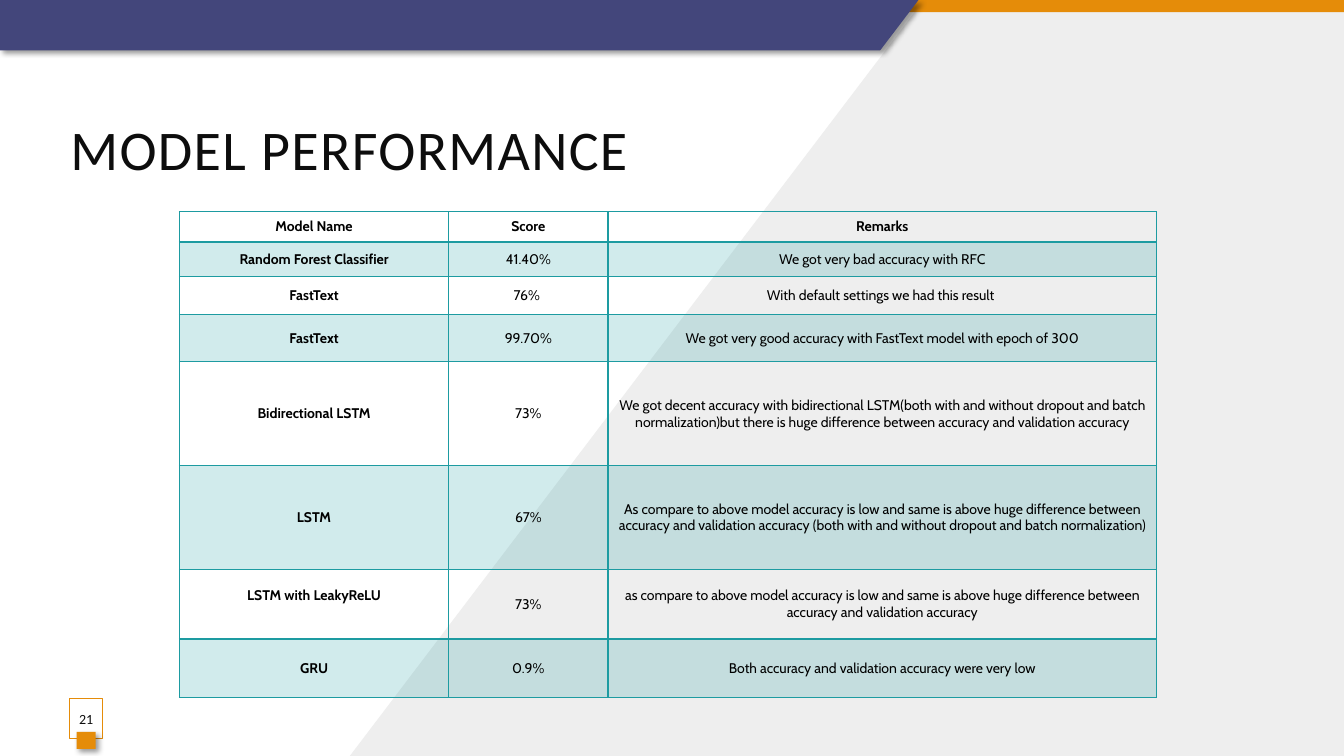
from lxml import etree
from pptx import Presentation
from pptx.dml.color import RGBColor
from pptx.enum import shapes, text
from pptx.oxml import ns
from pptx.util import Inches, Pt

WHITE = RGBColor(0xFF, 0xFF, 0xFF)
BLACK = RGBColor(0, 0, 0)
INK = RGBColor(0x0D, 0x0D, 0x0D)
GRAY = RGBColor(0xEE, 0xEE, 0xEE)
ORANGE = RGBColor(0xE5, 0x8C, 0x09)
INDIGO = RGBColor(0x43, 0x46, 0x7B)
TEAL = RGBColor(0x1D, 0x9B, 0xA1)

TITLE = "MODEL PERFORMANCE"
PAGE_NUMBER = "21"
GRAY_PANEL = [(9.11, 0), (13.33, 0), (13.33, 7.5), (3.47, 7.5), (9.11, 0.07)]
INDIGO_BANNER = [(0, 0), (9.11, 0), (8.73, 0.5), (0, 0.5)]
COLUMN_WIDTHS = [2.67, 1.58, 5.44]
ROWS = [
    (0.3, "Model Name", "Score", "Remarks"),
    (0.34, "Random Forest Classifier", "41.40%", "We got very bad accuracy with RFC"),
    (0.38, "FastText", "76% ", "With default settings we had this result "),
    (0.47, "FastText", "99.70%",
     "We got very good accuracy with FastText model with epoch of 300"),
    (1.03, "Bidirectional LSTM", "73%",
     "We got decent accuracy with bidirectional LSTM(both with and without dropout and batch "
     "normalization)but there is huge difference between accuracy and validation accuracy"),
    (1.03, "LSTM", "67%",
     "As compare to above model accuracy is low and same is above huge difference between "
     "accuracy and validation accuracy (both with and without dropout and batch normalization)"),
    (0.69, "LSTM with LeakyReLU", "73%",
     "as compare to above model accuracy is low and same is above huge difference between "
     "accuracy and validation accuracy"),
    (0.58, "GRU", "0.9%", "Both accuracy and validation accuracy were very low"),
]
RAISED_NAME = "LSTM with LeakyReLU"


def add_node(parent, tag, **attributes):
    return etree.SubElement(parent, ns.qn(tag), attributes)


def paint(shape, color):
    shape.shadow.inherit = False
    shape.fill.solid()
    shape.fill.fore_color.rgb = color
    shape.line.fill.background()
    return shape


def add_box(slide, left, top, width, height, color):
    shape = slide.shapes.add_shape(shapes.MSO_SHAPE.RECTANGLE, Inches(left), Inches(top),
                                   Inches(width), Inches(height))
    return paint(shape, color)


def add_outline(slide, points, color):
    corners = [(Inches(x), Inches(y)) for x, y in points]
    builder = slide.shapes.build_freeform(*corners[0], scale=1.0)
    builder.add_line_segments(corners[1:], close=True)
    return paint(builder.convert_to_shape(), color)


def cast_shadow(shape):
    effects = shape.element.spPr.find(ns.qn("a:effectLst"))
    shadow = add_node(effects, "a:outerShdw", blurRad=str(Pt(4)), dist=str(Pt(3)),
                      dir=str(45 * 60000), algn="tl", rotWithShape="0")
    color = add_node(shadow, "a:srgbClr", val=str(BLACK))
    add_node(color, "a:alpha", val="40000")


def set_opacity(properties, percent):
    color = properties.find(ns.qn("a:solidFill")).find(ns.qn("a:srgbClr"))
    add_node(color, "a:alpha", val=str(percent * 1000))


def write(frame, content, font_name, size, color, bold=False, align=text.PP_ALIGN.CENTER):
    frame.word_wrap = True
    frame.vertical_anchor = text.MSO_ANCHOR.MIDDLE
    paragraph = frame.paragraphs[0]
    paragraph.text = content
    paragraph.alignment = align
    font = paragraph.font
    font.name, font.size, font.bold = font_name, Pt(size), bold
    font.color.rgb = color
    return paragraph


def set_borders(cell, bottom_width, top_width):
    properties = cell._tc.get_or_add_tcPr()
    widths = {"a:lnL": 1, "a:lnR": 1, "a:lnT": top_width, "a:lnB": bottom_width}
    for index, (tag, width) in enumerate(widths.items()):
        line = etree.Element(ns.qn(tag), {"w": str(Pt(width))})
        add_node(add_node(line, "a:solidFill"), "a:srgbClr", val=str(TEAL))
        properties.insert(index, line)


def add_score_table(slide):
    heights = [row[0] for row in ROWS]
    table = slide.shapes.add_table(len(ROWS), len(COLUMN_WIDTHS), Inches(1.78), Inches(2.1),
                                   Inches(sum(COLUMN_WIDTHS)), Inches(sum(heights))).table
    table.first_row = table.horz_banding = False
    for column, width in zip(table.columns, COLUMN_WIDTHS):
        column.width = Inches(width)
    for row_index, (height, *contents) in enumerate(ROWS):
        table.rows[row_index].height = Inches(height)
        for column_index, content in enumerate(contents):
            cell = table.cell(row_index, column_index)
            cell.margin_left = cell.margin_right = Inches(0.06)
            cell.margin_top = 0
            cell.margin_bottom = Inches(0.17 if content == RAISED_NAME else 0)
            cell.vertical_anchor = text.MSO_ANCHOR.MIDDLE
            write(cell.text_frame, content, "Cabin", 10, BLACK,
                  bold=row_index == 0 or column_index == 0)
            if row_index % 2:
                cell.fill.solid()
                cell.fill.fore_color.rgb = TEAL
                set_opacity(cell._tc.tcPr, 20)
            else:
                cell.fill.background()
            set_borders(cell, bottom_width=2 if row_index == 0 else 1,
                        top_width=2 if row_index == 1 else 1)


def main():
    presentation = Presentation()
    presentation.slide_width, presentation.slide_height = Inches(13.33), Inches(7.5)
    slide = presentation.slides.add_slide(presentation.slide_layouts[6])

    add_outline(slide, GRAY_PANEL, GRAY)
    add_box(slide, 0, 0, 13.33, 0.12, ORANGE)
    cast_shadow(add_outline(slide, INDIGO_BANNER, INDIGO))

    title = slide.shapes.add_textbox(Inches(0.6), Inches(1.08), Inches(11.82), Inches(0.77))
    paragraph = write(title.text_frame, TITLE, "Calibri", 40, INK, align=text.PP_ALIGN.LEFT)
    paragraph.runs[0].font._element.set("spc", "100")

    number_box = add_box(slide, 0.69, 6.93, 0.33, 0.4, WHITE)
    set_opacity(number_box.element.spPr, 82)
    number_box.line.color.rgb = ORANGE
    number_box.line.width = Pt(0.75)
    number_box.text_frame.margin_left = number_box.text_frame.margin_right = 0
    write(number_box.text_frame, PAGE_NUMBER, "Calibri", 10, INK)
    cast_shadow(add_box(slide, 0.76, 7.26, 0.19, 0.17, ORANGE))

    add_score_table(slide)
    presentation.save("out.pptx")


if __name__ == "__main__":
    main()
